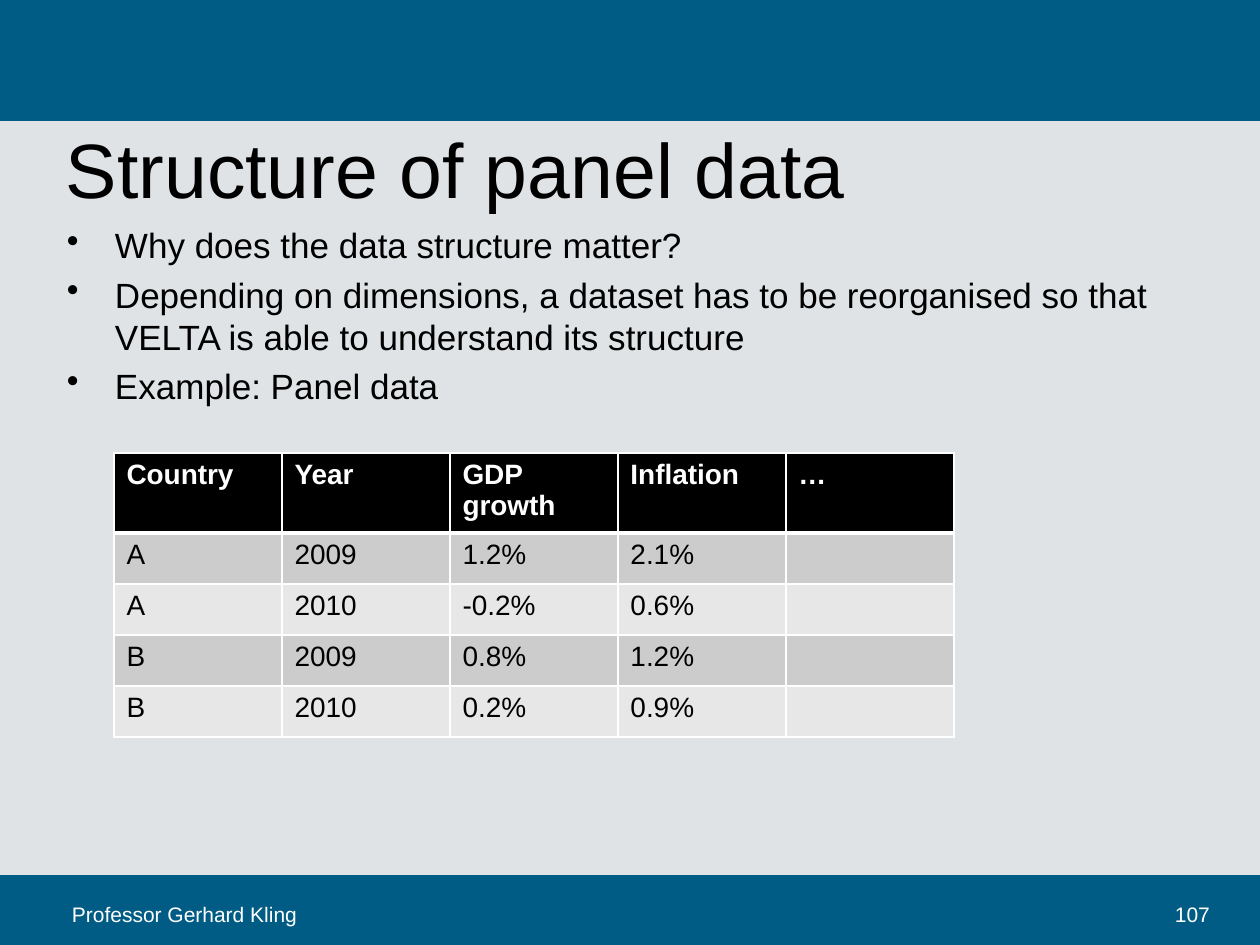
from lxml import etree
from pptx import Presentation
from pptx import util as u
from pptx.dml.color import RGBColor
from pptx.enum import shapes, text
from pptx.oxml import ns

PX = 914400 / 126
FONT = "Arial"
BLACK, WHITE, BLUE, GREY = "000000", "FFFFFF", "005C84", "DFE3E5"
HEADER_FILL, BAND_FILLS = "000000", ("CCCCCC", "E7E7E7")

BULLETS = [
    "Why does the data structure matter?",
    "Depending on dimensions, a dataset has to be reorganised so that "
    "VELTA is able to understand its structure",
    "Example: Panel data",
]
PANEL = [
    ["Country", "Year", "GDP growth", "Inflation", "…"],
    ["A", "2009", "1.2%", "2.1%", ""],
    ["A", "2010", "-0.2%", "0.6%", ""],
    ["B", "2009", "0.8%", "1.2%", ""],
    ["B", "2010", "0.2%", "0.9%", ""],
]
ROW_HEIGHTS = [79, 51, 51, 51, 51]
COLUMN_WIDTH = 168


def px(length):
    return u.Emu(round(length * PX))


def paint(fill, color):
    fill.solid()
    fill.fore_color.rgb = RGBColor.from_string(color)


def style(para, size, color, bold=False):
    font = para.font
    font.name, font.size, font.bold = FONT, u.Pt(size), bold
    font.color.rgb = RGBColor.from_string(color)


def add_band(page, top, height):
    band = page.shapes.add_shape(shapes.MSO_SHAPE.RECTANGLE,
                                 px(0), px(top), px(1260), px(height))
    band.shadow.inherit = False
    paint(band.fill, BLUE)
    band.line.fill.background()


def add_text(page, place, lines, size, color, inset=(4, 3), anchor=text.MSO_ANCHOR.TOP):
    box = page.shapes.add_textbox(*map(px, place))
    frame = box.text_frame
    frame.word_wrap = True
    frame.vertical_anchor = anchor
    frame.margin_left = frame.margin_right = px(inset[0])
    frame.margin_top = frame.margin_bottom = px(inset[1])
    frame.text = "\n".join(lines)
    for para in frame.paragraphs:
        style(para, size, color)
    return frame


def add_bullets(frame, indent):
    for para in frame.paragraphs:
        para.space_before = u.Pt(4)
        props = para._p.get_or_add_pPr()
        props.set("marL", str(px(indent)))
        props.set("indent", str(-px(indent)))
        bullet = etree.Element(ns.qn("a:buChar"), char="•")
        # Bullets come before the default run properties
        props.find(ns.qn("a:defRPr")).addprevious(bullet)


def set_borders(cell, widths):
    props = cell._tc.get_or_add_tcPr()
    for index, (side, width) in enumerate(widths.items()):
        line = etree.Element(ns.qn(f"a:ln{side}"), w=str(u.Pt(width)))
        solid = etree.SubElement(line, ns.qn("a:solidFill"))
        etree.SubElement(solid, ns.qn("a:srgbClr"), val=WHITE)
        props.insert(index, line)


def add_panel_table(page, left, top):
    columns = len(PANEL[0])
    table = page.shapes.add_table(len(PANEL), columns, px(left), px(top),
                                  px(COLUMN_WIDTH * columns), px(sum(ROW_HEIGHTS))).table
    for column in table.columns:
        column.width = px(COLUMN_WIDTH)
    for r, values in enumerate(PANEL):
        header = r == 0
        table.rows[r].height = px(ROW_HEIGHTS[r])
        for c, value in enumerate(values):
            cell = table.cell(r, c)
            cell.text = value
            style(cell.text_frame.paragraphs[0], 16, WHITE if header else BLACK, header)
            paint(cell.fill, HEADER_FILL if header else BAND_FILLS[(r - 1) % 2])
            set_borders(cell, {"L": 1, "R": 1, "T": 3 if r == 1 else 1,
                               "B": 3 if header else 1})


def main():
    deck = Presentation()
    deck.slide_width, deck.slide_height = px(1260), px(945)
    page = deck.slides.add_slide(deck.slide_layouts[6])
    paint(page.background.fill, GREY)

    # Top and bottom bands
    add_band(page, 0, 121)
    add_band(page, 875, 70)

    # Title and bullets
    add_text(page, (62, 129, 1134, 78), ["Structure of panel data"], 44, BLACK,
             anchor=text.MSO_ANCHOR.MIDDLE)
    add_bullets(add_text(page, (63, 221, 1134, 624), BULLETS, 20, BLACK), 48)

    # Panel data example
    add_panel_table(page, 114, 453)

    # Footer
    add_text(page, (59, 896, 413, 38), ["Professor Gerhard Kling"], 12, WHITE, (13, 6))
    add_text(page, (1162, 896, 88, 38), ["107"], 12, WHITE, (13, 6))

    deck.save("out.pptx")


if __name__ == "__main__":
    main()
